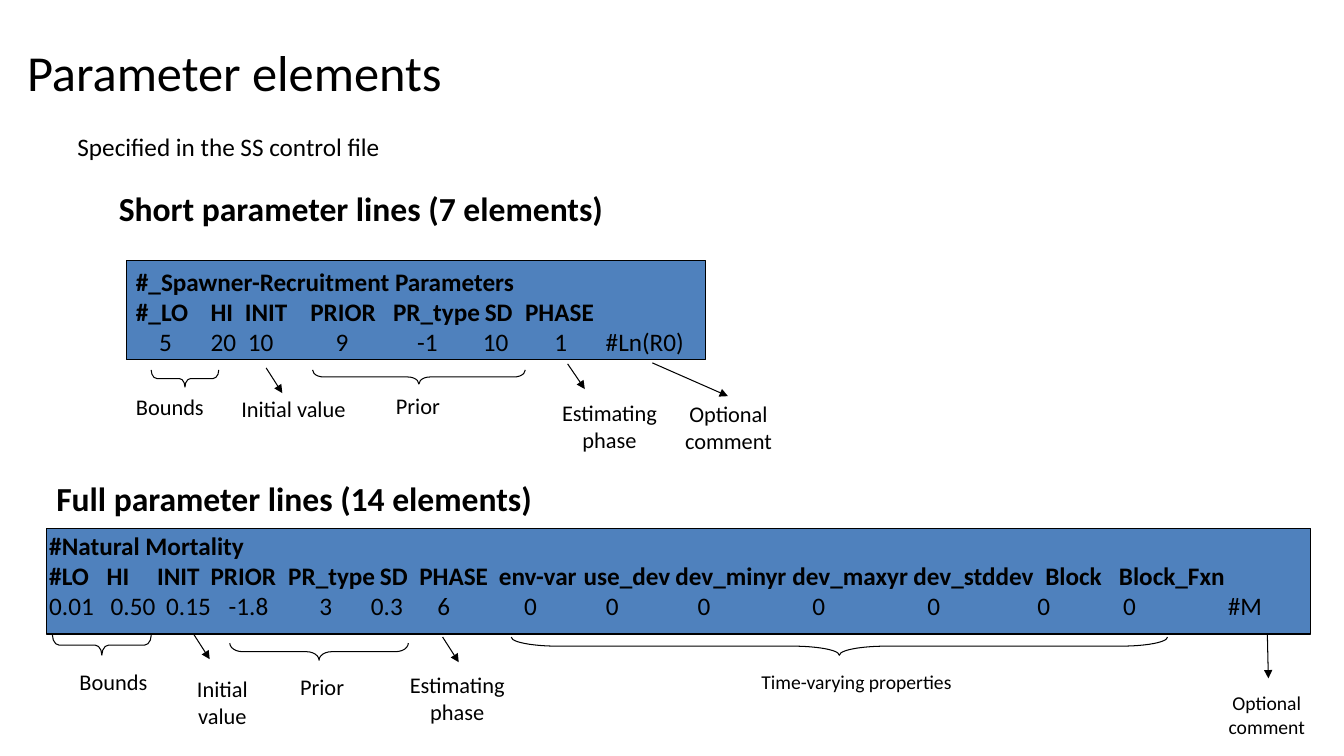
from dataclasses import dataclass

from lxml import etree
from pptx import Presentation
from pptx import util as u
from pptx.dml.color import RGBColor
from pptx.enum import shapes, text
from pptx.oxml.ns import qn
from pptx.slide import Slide

BLACK = RGBColor(0x00, 0x00, 0x00)
BLUE = RGBColor(0x4F, 0x81, 0xBD)
FONT = "Calibri"
THIN = u.Pt(0.75)
LEFT = text.PP_ALIGN.LEFT
MID = text.PP_ALIGN.CENTER


@dataclass
class Box:
    left: float
    top: float
    width: float
    height: float


@dataclass
class Label:
    words: str
    box: Box
    size: int = 16
    align: text.PP_ALIGN = MID
    bold: bool = False
    anchor: text.MSO_ANCHOR = text.MSO_ANCHOR.TOP


@dataclass
class Brace:
    box: Box
    curve: float


@dataclass
class Arrow:
    start: tuple[float, float]
    end: tuple[float, float]


@dataclass
class Row:
    words: str
    stops: tuple[float, ...] = ()
    bold: bool = True


@dataclass
class Panel:
    fill: Box
    frame: Box
    rows: list[Row]


PANELS = [
    Panel(Box(0.46, 5.24, 12.54, 1.05), Box(0.39, 5.21, 12.53, 1.01), [
        Row("#Natural Mortality"),
        Row("#LO\tHI\tINIT\tPRIOR\tPR_type\tSD\tPHASE\tenv-var\tuse_dev\t"
            "dev_minyr\tdev_maxyr\tdev_stddev\tBlock\tBlock_Fxn",
            (0.57, 1.07, 1.6, 2.37, 3.28, 3.67, 4.46, 5.3, 6.21,
             7.37, 8.57, 9.88, 10.61)),
        Row("0.01\t0.50\t0.15\t-1.8\t3\t0.3\t6\t0\t0\t0\t0\t0\t0\t0\t#M",
            (0.61, 1.16, 1.78, 2.68, 3.19, 3.85, 4.71, 5.52, 6.43,
             7.57, 8.71, 9.8, 10.65, 11.69), False),
    ]),
    Panel(Box(1.25, 2.58, 5.75, 0.99), Box(1.25, 2.59, 7.67, 1.01), [
        Row("#_Spawner-Recruitment Parameters"),
        Row("#_LO\tHI\tINIT\tPRIOR\tPR_type\tSD\tPHASE",
            (0.74, 1.08, 1.73, 2.55, 3.46, 3.86)),
        Row("\t5\t20\t10\t9\t-1\t10\t1\t#Ln(R0)",
            (0.23, 0.74, 1.11, 1.98, 2.79, 3.44, 4.15, 4.66), False),
    ]),
]

LABELS = [
    Label("Parameter elements", Box(0.17, 0.08, 11, 1.25), 36, LEFT,
          anchor=text.MSO_ANCHOR.MIDDLE),
    Label("Specified in the SS control file", Box(0.67, 1.25, 9.5, 0.4), 18, LEFT),
    Label("Short parameter lines (7 elements)", Box(1.08, 1.82, 5.5, 0.5), 24, LEFT, True),
    Label("Full parameter lines (14 elements)", Box(0.46, 4.69, 5.25, 0.5), 24, LEFT, True),
    Label("Bounds", Box(1.25, 3.85, 1.17, 0.37), align=LEFT),
    Label("Initial value", Box(2.25, 3.87, 1.32, 0.37)),
    Label("Prior", Box(3.56, 3.84, 1.17, 0.37)),
    Label("Estimating phase", Box(5.46, 3.91, 1.17, 0.64)),
    Label("Optional comment", Box(6.64, 3.92, 1.17, 0.64)),
    Label("Bounds", Box(0.69, 6.58, 1.17, 0.37), align=LEFT),
    Label("Initial value", Box(1.77, 6.65, 0.87, 0.64)),
    Label("Prior", Box(2.61, 6.63, 1.17, 0.37)),
    Label("Estimating phase", Box(3.95, 6.61, 1.17, 0.64)),
    Label("Time-varying properties", Box(6.47, 6.6, 4.05, 0.33), 14),
    Label("Optional comment", Box(11.98, 6.81, 1.17, 0.57), 14),
]

BRACES = [
    Brace(Box(1.5, 3.67, 0.67, 0.17), 0.33),
    Brace(Box(3.1, 3.67, 2.11, 0.14), 0.79),
    Brace(Box(0.52, 6.3, 0.98, 0.2), 0.33),
    Brace(Box(2.28, 6.38, 1.77, 0.17), 0.74),
    Brace(Box(5.07, 6.32, 6.51, 0.18), 2.57),
]

ARROWS = [
    Arrow((2.64, 3.65), (2.8, 3.9)),
    Arrow((5.63, 3.61), (5.8, 3.86)),
    Arrow((6.47, 3.6), (7.22, 3.93)),
    Arrow((1.92, 6.29), (2.08, 6.54)),
    Arrow((4.39, 6.32), (4.55, 6.57)),
    Arrow((12.57, 6.29), (12.58, 6.73)),
]


def place(box: Box) -> list[u.Length]:
    return [u.Inches(n) for n in (box.left, box.top, box.width, box.height)]


def write(slide: Slide, rows: list[Row], box: Box, *, size: int = 18,
          align: text.PP_ALIGN = LEFT,
          anchor: text.MSO_ANCHOR = text.MSO_ANCHOR.TOP) -> None:
    frame = slide.shapes.add_textbox(*place(box)).text_frame
    frame.word_wrap = True
    frame.vertical_anchor = anchor
    for i, row in enumerate(rows):
        para = frame.add_paragraph() if i else frame.paragraphs[0]
        para.alignment = align
        run = para.add_run()
        run.text = row.words
        run.font.name = FONT
        run.font.size = u.Pt(size)
        run.font.bold = row.bold
        run.font.color.rgb = BLACK
        if row.stops:
            tabs = etree.SubElement(para._p.get_or_add_pPr(), qn("a:tabLst"))
            for stop in row.stops:
                etree.SubElement(tabs, qn("a:tab"), pos=str(u.Inches(stop)), algn="l")


def draw_panel(slide: Slide, panel: Panel) -> None:
    rect = slide.shapes.add_shape(shapes.MSO_SHAPE.RECTANGLE, *place(panel.fill))
    rect.shadow.inherit = False
    rect.fill.solid()
    rect.fill.fore_color.rgb = BLUE
    rect.line.color.rgb = BLACK
    rect.line.width = THIN
    write(slide, panel.rows, panel.frame)


def draw_brace(slide: Slide, brace: Brace) -> None:
    box = brace.box
    shift = (box.width - box.height) / 2
    turned = Box(box.left + shift, box.top - shift, box.height, box.width)
    shape = slide.shapes.add_shape(shapes.MSO_SHAPE.LEFT_BRACE, *place(turned))
    shape.rotation = 270
    shape.adjustments[0] = brace.curve
    shape.shadow.inherit = False
    shape.fill.background()
    shape.line.color.rgb = BLACK
    shape.line.width = THIN


def draw_arrow(slide: Slide, arrow: Arrow) -> None:
    ends = [u.Inches(n) for n in arrow.start + arrow.end]
    line = slide.shapes.add_connector(shapes.MSO_CONNECTOR.STRAIGHT, *ends)
    line.line.color.rgb = BLACK
    line.line.width = THIN
    props = line.element.spPr
    etree.SubElement(props.find(qn("a:ln")), qn("a:tailEnd"), type="triangle")
    etree.SubElement(props, qn("a:effectLst"))


def main() -> None:
    deck = Presentation()
    deck.slide_width = u.Inches(13.33)
    deck.slide_height = u.Inches(7.5)
    slide = deck.slides.add_slide(deck.slide_layouts[6])
    for panel in PANELS:
        draw_panel(slide, panel)
    for label in LABELS:
        write(slide, [Row(label.words, bold=label.bold)], label.box,
              size=label.size, align=label.align, anchor=label.anchor)
    for brace in BRACES:
        draw_brace(slide, brace)
    for arrow in ARROWS:
        draw_arrow(slide, arrow)
    deck.save("out.pptx")


if __name__ == "__main__":
    main()
